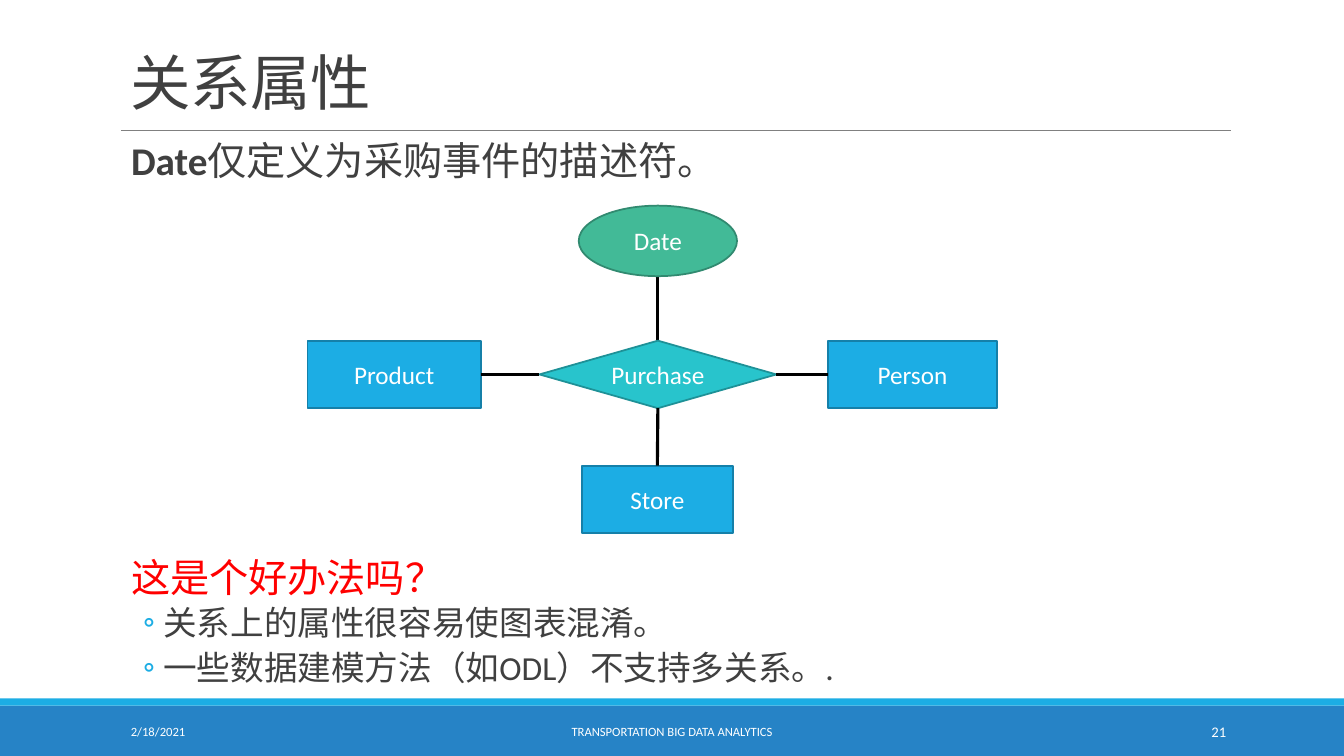
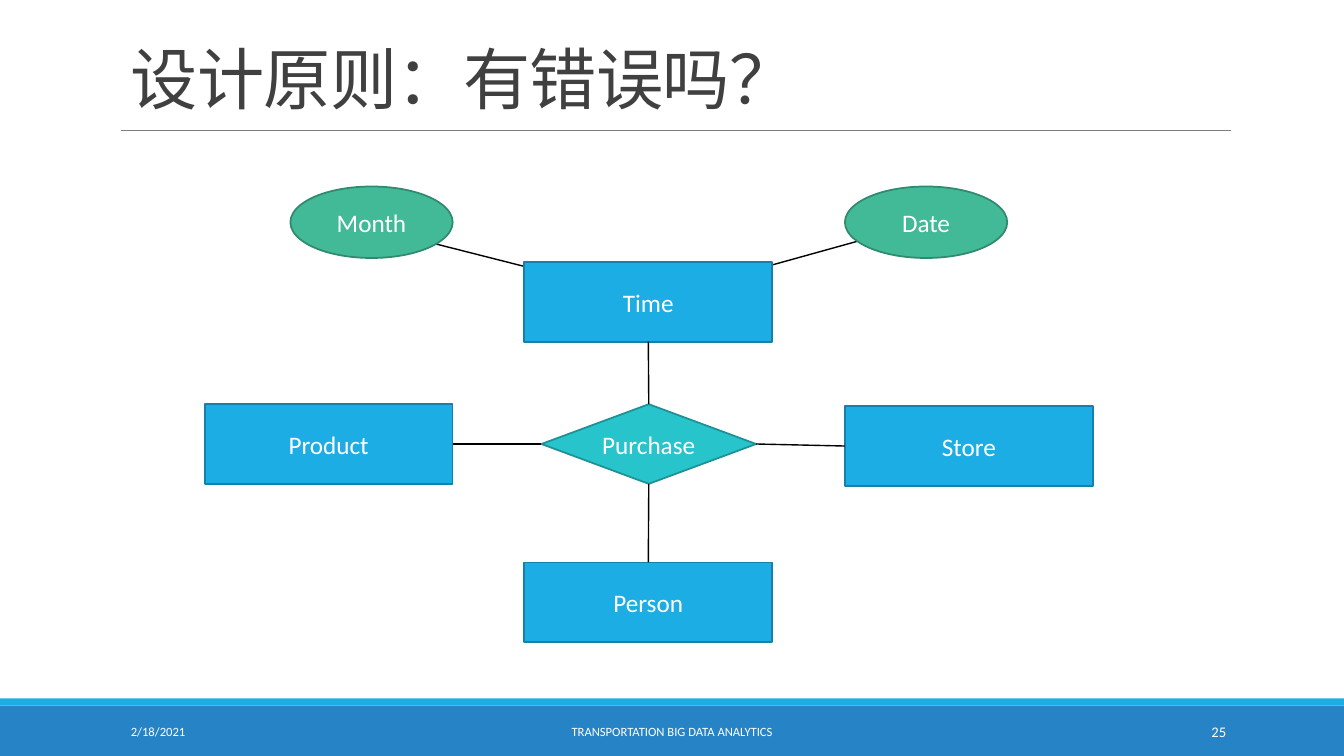
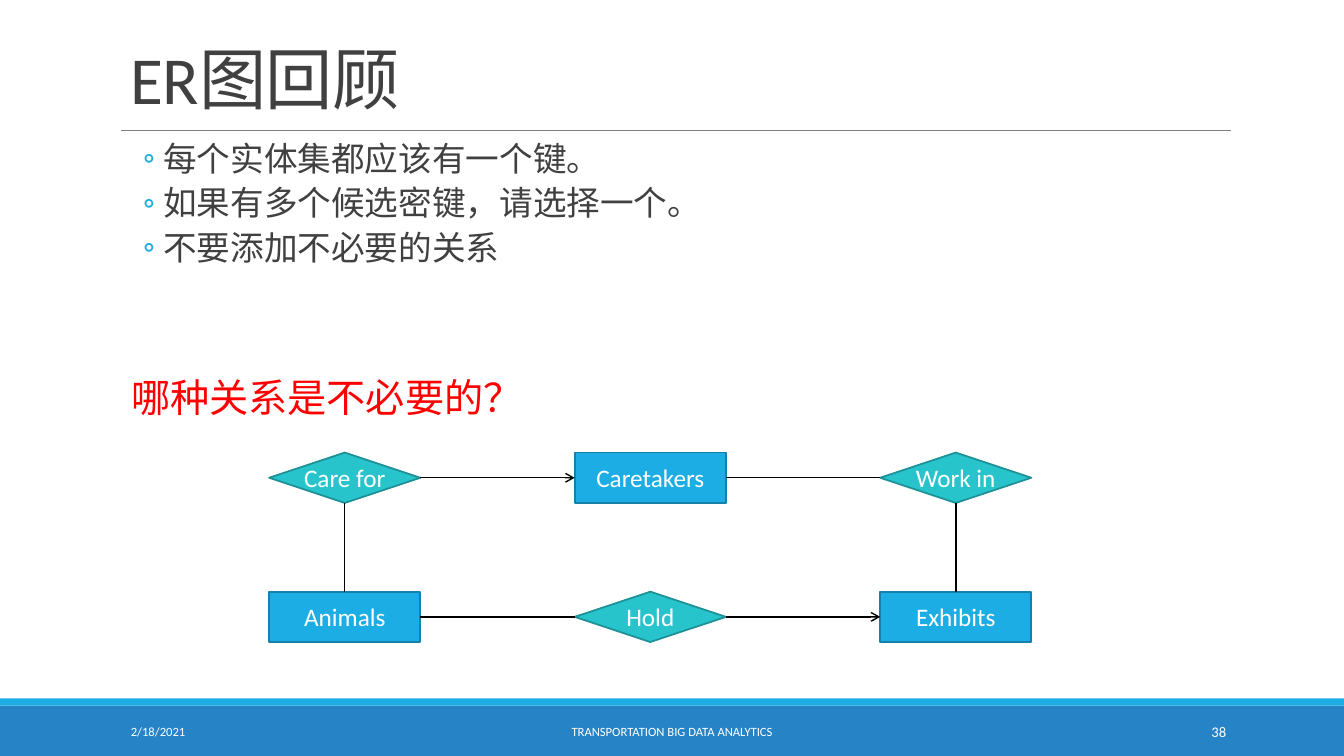
from lxml import etree
from pptx import Presentation
from pptx.dml.color import RGBColor
from pptx.enum.shapes import MSO_CONNECTOR as CONN, MSO_SHAPE as SHAPE
from pptx.enum.text import MSO_ANCHOR as ANCHOR, PP_ALIGN as ALIGN
from pptx.oxml.ns import qn
from pptx.util import Inches, Pt

FONT = "Calibri"
COLORS = {
    "band": "2683C6", "stripe": "1CADE4", "rule": "808080", "text": "404040",
    "alert": "FF0000", "white": "FFFFFF", "line": "000000",
}
# Node kinds: preset shape, fill, outline
NODES = {
    "entity": (SHAPE.RECTANGLE, "1CADE4", "1580A9"),
    "relation": (SHAPE.DIAMOND, "28C4CC", "1E9197"),
    "decision": (SHAPE.FLOWCHART_DECISION, "28C4CC", "1E9197"),
    "attribute": (SHAPE.OVAL, "42BA97", "318A70"),
}
# Paragraph kinds: size, colour, left margin, first-line indent, before, after, bullet
PARAS = {
    "lead": (28, "text", 0.1, 0, 12, 2, None),
    "alert": (28, "alert", 0.1, 0, 12, 2, None),
    "late alert": (28, "alert", 0.1, 0, 75, 2, None),
    "point": (24, "text", 0.42, -0.2, 2, 4, "◦"),
}
TOP, LEFT, BOTTOM, RIGHT = range(4)

# Grids of the diagrams on the second and third slides
WIDE, HIGH = 2.46, 0.79
COLS, ROWS, CELL = [2.67 + 3.03 * i for i in range(3)], (4.49, 5.87), (1.5, 0.5)

# Content: texts are (box, paragraphs), nodes are label: (kind, box),
# spokes are loose lines behind the nodes, links are (from, side, to, side, arrow)
SLIDES = [
    {
        "title": "关系属性", "title_size": 43.2, "number": "21", "weight": 2.25,
        "texts": [
            ((1.2, 1.36, 11, 0.67),
             [("lead", [("Date", True), ("仅定义为采购事件的描述符。", False)])]),
            ((1.2, 5.49, 11, 1.56),
             [("alert", [("这是个好办法吗？", False)]),
              ("point", [("关系上的属性很容易使图表混淆。", False)]),
              ("point", [("一些数据建模方法（如ODL）不支持多关系。.", False)])]),
        ],
        "nodes": {
            "Purchase": ("decision", (5.35, 3.38, 2.35, 0.67)),
            "Product": ("entity", (3.05, 3.38, 1.72, 0.67)),
            "Store": ("entity", (5.77, 4.62, 1.5, 0.67)),
            "Person": ("entity", (8.21, 3.38, 1.68, 0.67)),
            "Date": ("attribute", (5.74, 2.04, 1.57, 0.7)),
        },
        "spokes": [(6.52, 2.73, 6.52, 3.38)],
        "links": [
            ("Product", RIGHT, "Purchase", LEFT, False),
            ("Purchase", RIGHT, "Person", LEFT, False),
            ("Purchase", BOTTOM, "Store", TOP, False),
        ],
    },
    {
        "title": "设计原则：有错误吗？", "title_size": 48, "number": "25", "weight": 1,
        "texts": [],
        "nodes": {
            "Purchase": ("relation", (5.37, 4.01, 2.13, HIGH)),
            "Product": ("entity", (2.03, 4.01, WIDE, HIGH)),
            "Store": ("entity", (8.38, 4.03, WIDE, HIGH)),
            "Time": ("entity", (5.2, 2.6, WIDE, HIGH)),
            "Person": ("entity", (5.2, 5.58, WIDE, HIGH)),
            "Month": ("attribute", (2.88, 1.85, 1.61, 0.71)),
            "Date": ("attribute", (8.38, 1.85, 1.61, 0.71)),
        },
        "spokes": [(3.73, 2.27, 6.29, 2.92), (9.13, 2.22, 6.43, 2.97)],
        "links": [
            ("Product", RIGHT, "Purchase", LEFT, False),
            ("Purchase", RIGHT, "Store", LEFT, False),
            ("Time", BOTTOM, "Purchase", TOP, False),
            ("Purchase", BOTTOM, "Person", TOP, False),
        ],
    },
    {
        "title": "ER图回顾", "title_size": 48, "number": "38", "weight": 1,
        "texts": [
            ((1.2, 1.36, 11, 2.95),
             [("point", [("每个实体集都应该有一个键。", False)]),
              ("point", [("如果有多个候选密键，请选择一个。", False)]),
              ("point", [("不要添加不必要的关系", False)]),
              ("late alert", [("哪种关系是不必要的？", False)])]),
        ],
        "nodes": {
            "Care for": ("relation", (COLS[0], ROWS[0], *CELL)),
            "Caretakers": ("entity", (COLS[1], ROWS[0], *CELL)),
            "Work in": ("relation", (COLS[2], ROWS[0], *CELL)),
            "Animals": ("entity", (COLS[0], ROWS[1], *CELL)),
            "Hold": ("relation", (COLS[1], ROWS[1], *CELL)),
            "Exhibits": ("entity", (COLS[2], ROWS[1], *CELL)),
        },
        "spokes": [],
        "links": [
            ("Care for", RIGHT, "Caretakers", LEFT, True),
            ("Caretakers", RIGHT, "Work in", LEFT, False),
            ("Care for", BOTTOM, "Animals", TOP, False),
            ("Work in", BOTTOM, "Exhibits", TOP, False),
            ("Animals", RIGHT, "Hold", LEFT, False),
            ("Hold", RIGHT, "Exhibits", LEFT, True),
        ],
    },
]
# Footer: box, alignment, size, text (None stands for the slide number)
FOOTERS = [
    ((1.2, 7.06, 2.7, 0.4), ALIGN.LEFT, 9, "2/18/2021"),
    ((4.03, 7.06, 5.27, 0.4), ALIGN.CENTER, 9, "TRANSPORTATION BIG DATA ANALYTICS"),
    ((10.83, 7.06, 1.43, 0.4), ALIGN.RIGHT, 10.5, None),
]


def rgb(color):
    return RGBColor.from_string(COLORS.get(color, color))


def style(r, size, color, bold=False):
    r.font.name, r.font.size, r.font.bold = FONT, Pt(size), bold
    r.font.color.rgb = rgb(color)


def add_box(s, shape, box, fill, outline=None):
    sp = s.shapes.add_shape(shape, *map(Inches, box))
    sp.shadow.inherit = False
    sp.fill.solid()
    sp.fill.fore_color.rgb = rgb(fill)
    if outline:
        sp.line.color.rgb = rgb(outline)
        sp.line.width = Pt(1.25)
    else:
        sp.line.fill.background()
    return sp


def add_line(s, ends, color, weight):
    line = s.shapes.add_connector(CONN.STRAIGHT, *map(Inches, ends))
    line.line.color.rgb = rgb(color)
    line.line.width = Pt(weight)
    etree.SubElement(line._element.spPr, qn("a:effectLst"))
    return line


def add_label(s, box, text, size, color, align=ALIGN.LEFT, anchor=ANCHOR.MIDDLE):
    tf = s.shapes.add_textbox(*map(Inches, box)).text_frame
    tf.word_wrap, tf.vertical_anchor = True, anchor
    p = tf.paragraphs[0]
    p.text, p.alignment = text, align
    style(p.runs[0], size, color)
    return p


def add_frame(s, title, title_size, number):
    add_box(s, SHAPE.RECTANGLE, (0, 7, 13.33, 0.5), "band")
    add_box(s, SHAPE.RECTANGLE, (0, 6.93, 13.33, 0.07), "stripe")
    add_line(s, (1.2, 1.29, 12.21, 1.29), "rule", 0.5)
    p = add_label(s, (1.2, 0.13, 11, 1.09), title, title_size, "text", anchor=ANCHOR.BOTTOM)
    p.line_spacing = 0.85
    p.runs[0].font._element.set("spc", "-50")
    for box, align, size, text in FOOTERS:
        add_label(s, box, text or number, size, "white", align)


def add_body(s, box, paras):
    tf = s.shapes.add_textbox(*map(Inches, box)).text_frame
    tf.word_wrap = True
    tf.margin_left = tf.margin_right = 0
    for i, (kind, runs) in enumerate(paras):
        size, color, margin, indent, before, after, bullet = PARAS[kind]
        p = tf.add_paragraph() if i else tf.paragraphs[0]
        p.line_spacing, p.space_after = 0.9, Pt(after)
        p.space_before = Pt(before if i else 0)
        pPr = p._p.get_or_add_pPr()
        pPr.set("marL", str(Inches(margin)))
        pPr.set("indent", str(Inches(indent)))
        if bullet:
            tint = etree.SubElement(pPr, qn("a:buClr"))
            etree.SubElement(tint, qn("a:srgbClr"), val=COLORS["stripe"])
            etree.SubElement(pPr, qn("a:buFont"), typeface=FONT)
            etree.SubElement(pPr, qn("a:buChar"), char=bullet)
        for text, bold in runs:
            r = p.add_run()
            r.text = text
            style(r, size, color, bold)


def add_diagram(s, nodes, spokes, links, weight):
    for ends in spokes:
        add_line(s, ends, "line", weight)
    shapes = {}
    for label, (kind, box) in nodes.items():
        shape, fill, outline = NODES[kind]
        sp = shapes[label] = add_box(s, shape, box, fill, outline)
        tf = sp.text_frame
        tf.word_wrap, tf.vertical_anchor = False, ANCHOR.MIDDLE
        p = tf.paragraphs[0]
        p.text, p.alignment = label, ALIGN.CENTER
        style(p.runs[0], 18, "white")
    for start, start_side, end, end_side, arrow in links:
        line = add_line(s, (0, 0, 0, 0), "line", weight)
        line.begin_connect(shapes[start], start_side)
        line.end_connect(shapes[end], end_side)
        if arrow:
            etree.SubElement(line.line._get_or_add_ln(), qn("a:tailEnd"), type="arrow")


def main():
    prs = Presentation()
    prs.slide_width, prs.slide_height = Inches(13.33), Inches(7.5)
    for page in SLIDES:
        s = prs.slides.add_slide(prs.slide_layouts[6])
        add_frame(s, page["title"], page["title_size"], page["number"])
        for box, paras in page["texts"]:
            add_body(s, box, paras)
        add_diagram(s, page["nodes"], page["spokes"], page["links"], page["weight"])
    prs.save("out.pptx")


if __name__ == "__main__":
    main()
